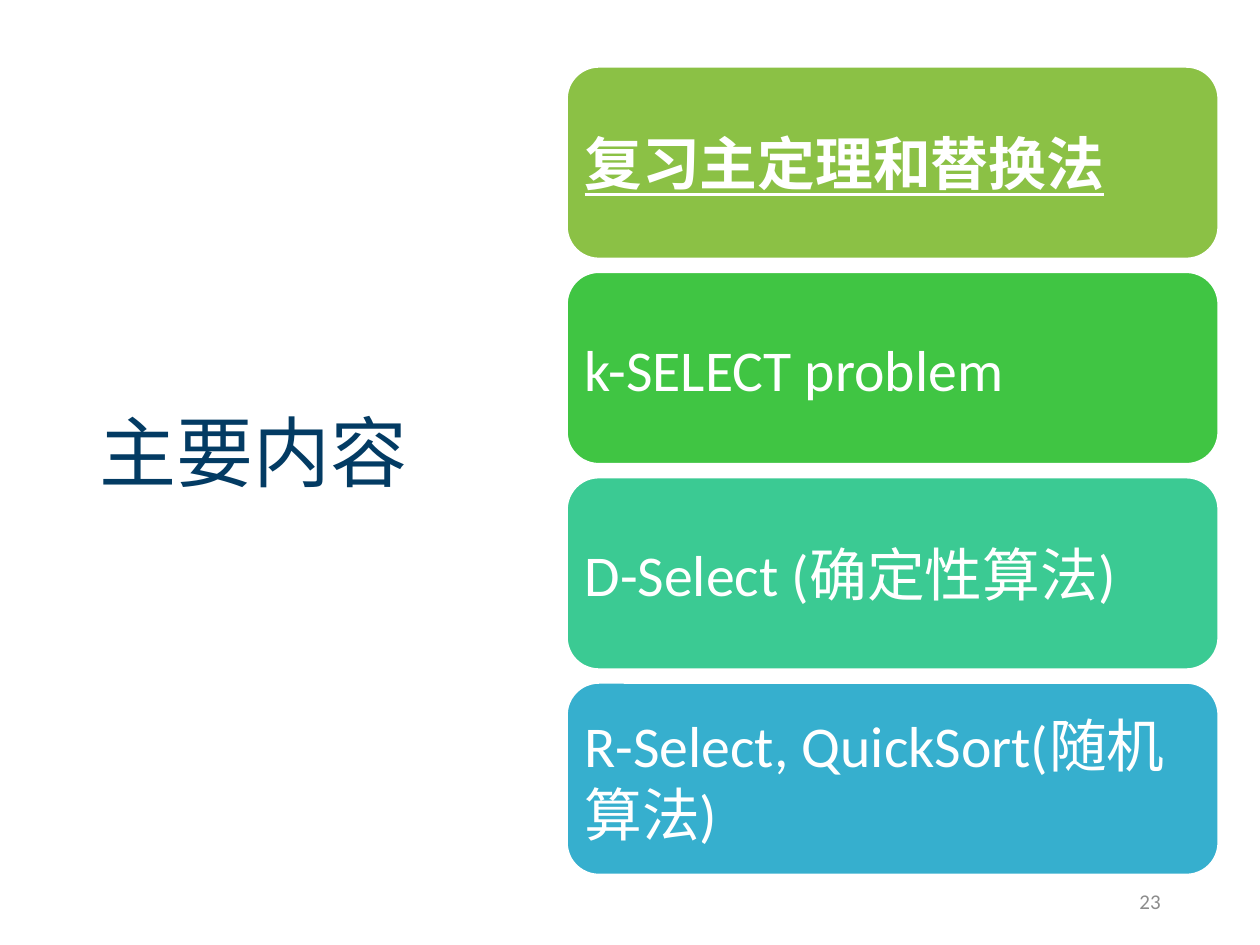
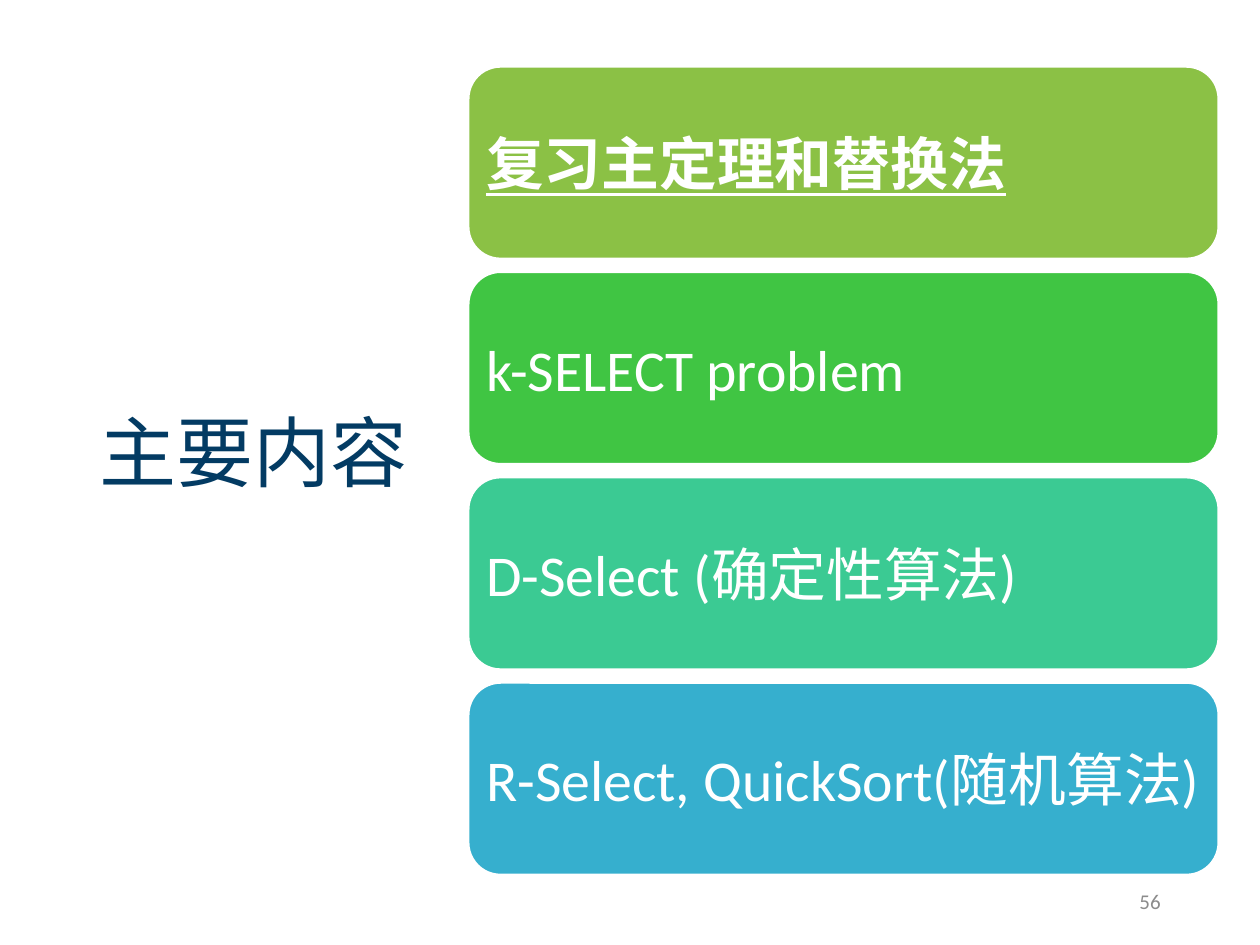
from dataclasses import dataclass

from pptx import Presentation
from pptx.dml.color import RGBColor as Rgb
from pptx.enum.shapes import MSO_SHAPE as Preset
from pptx.enum.text import MSO_ANCHOR as Anchor, PP_ALIGN as Align
from pptx.util import Pt

HEADING = "主要内容"
TOPICS = [
    ("复习主定理和替换法", "8BC145"),
    ("k-SELECT problem", "40C543"),
    ("D-Select (确定性算法)", "3BCA93"),
    ("R-Select, QuickSort(随机算法)", "36AFCE"),
]
CURRENT_TOPIC = 0
AGENDAS = [
    {"page": "23", "topics_left": 324},
    {"page": "56", "topics_left": 267.8},
]


@dataclass(frozen=True)
class Theme:
    font: str = "Calibri"
    heading_color: str = "033B63"
    topic_color: str = "FFFFFF"
    page_color: str = "8C8C8C"
    heading_size: int = 44
    topic_size: int = 33
    page_size: int = 12


THEME = Theme()
SLIDE_SIZE = (720, 540)
HEADING_BOX = (49.7, 94.3, 204.5, 333.4)
PAGE_BOX = (508.3, 500.4, 162, 28.8)
TOPICS_TOP = 38.2
TOPICS_RIGHT = 696.2
TOPIC_HEIGHT = 109.5
TOPIC_GAP = 7.85
TOPIC_INSET = 4.7


def apply(target, values):
    for name, value in values.items():
        setattr(target, name, value)


def write(holder, text, size, color, align=Align.LEFT, spacing=1.0, inset=None, **emphasis):
    frame = holder.text_frame
    apply(frame, {"word_wrap": True, "vertical_anchor": Anchor.MIDDLE})
    if inset is not None:
        sides = ("left", "top", "right", "bottom")
        apply(frame, {f"margin_{side}": Pt(inset) for side in sides})
    line = frame.paragraphs[0]
    apply(line, {"alignment": align, "line_spacing": spacing})
    run = line.add_run()
    run.text = text
    apply(run.font, {"name": THEME.font, "size": Pt(size), **emphasis})
    run.font.color.rgb = Rgb.from_string(color)


def add_label(slide, box, *content, **format_values):
    label = slide.shapes.add_textbox(*map(Pt, box))
    write(label, *content, **format_values)


def add_topic(slide, index, left):
    text, color = TOPICS[index]
    top = TOPICS_TOP + index * (TOPIC_HEIGHT + TOPIC_GAP)
    box = (left, top, TOPICS_RIGHT - left, TOPIC_HEIGHT)
    topic = slide.shapes.add_shape(Preset.ROUNDED_RECTANGLE, *map(Pt, box))
    topic.shadow.inherit = False
    topic.fill.solid()
    topic.fill.fore_color.rgb = Rgb.from_string(color)
    topic.line.color.rgb = Rgb.from_string(THEME.topic_color)
    topic.line.width = Pt(1)
    current = index == CURRENT_TOPIC
    write(topic, text, THEME.topic_size, THEME.topic_color,
          inset=TOPIC_INSET, bold=current, underline=current)


def add_agenda(deck, page, topics_left):
    slide = deck.slides.add_slide(deck.slide_layouts[6])
    add_label(slide, HEADING_BOX, HEADING, THEME.heading_size, THEME.heading_color, spacing=0.9)
    for index in range(len(TOPICS)):
        add_topic(slide, index, topics_left)
    add_label(slide, PAGE_BOX, page, THEME.page_size, THEME.page_color, align=Align.RIGHT)


def main():
    deck = Presentation()
    deck.slide_width, deck.slide_height = map(Pt, SLIDE_SIZE)
    for agenda in AGENDAS:
        add_agenda(deck, **agenda)
    deck.save("out.pptx")


if __name__ == "__main__":
    main()
